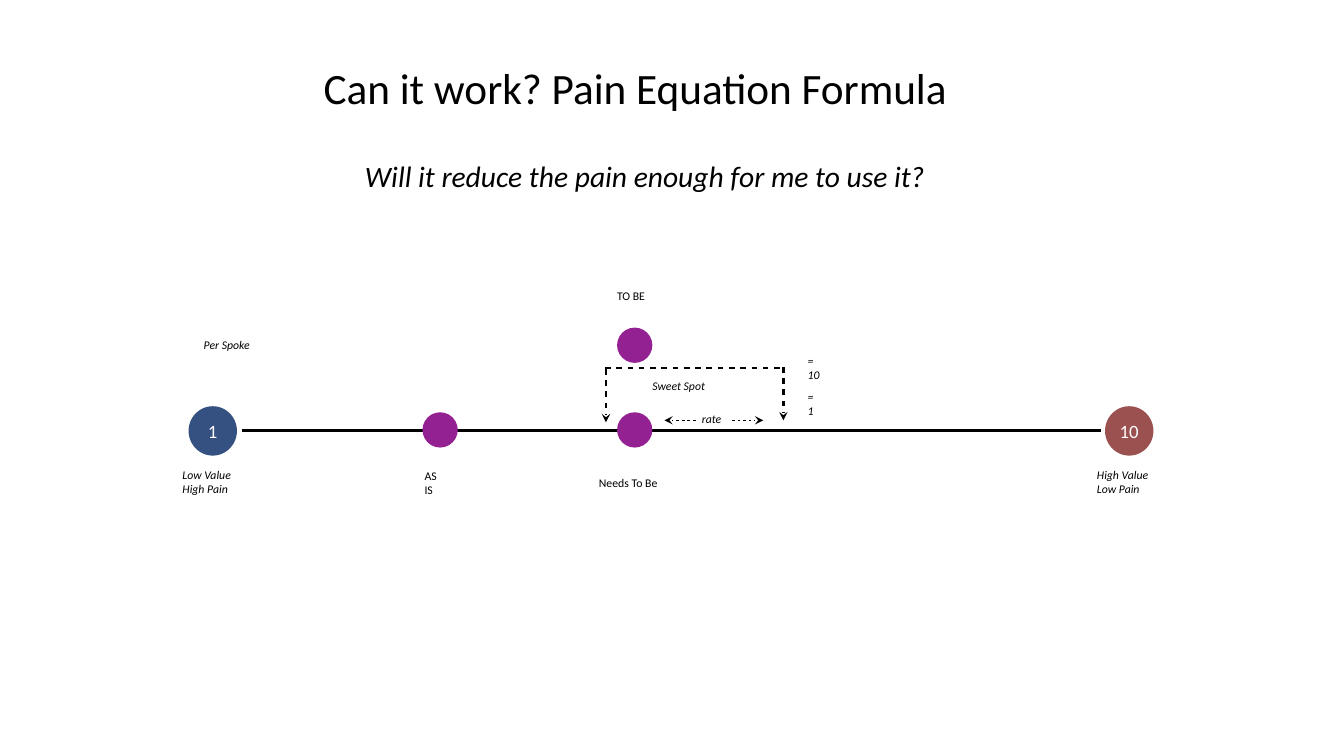
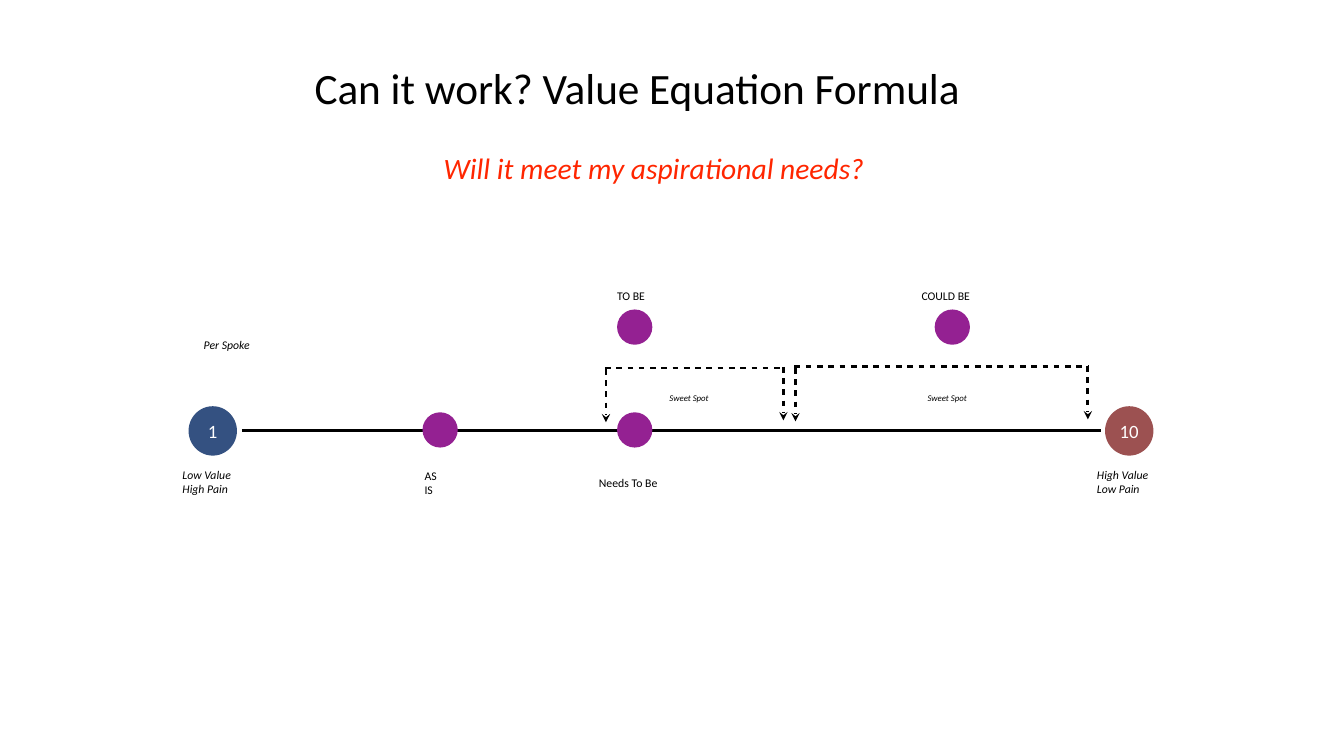
"""Builds two slides that place a need on a scale from pain to value."""
from lxml import etree
from pptx import Presentation
from pptx.dml.color import RGBColor
from pptx.enum.shapes import MSO_CONNECTOR, MSO_SHAPE
from pptx.enum.text import MSO_ANCHOR, MSO_AUTO_SIZE, PP_ALIGN
from pptx.oxml.ns import qn
from pptx.util import Pt

PX = 9144
BLANK = 6
FONT = "Calibri"
BLACK = RGBColor(0x00, 0x00, 0x00)
WHITE = RGBColor(0xFF, 0xFF, 0xFF)
RED = RGBColor(0xFF, 0x26, 0x00)
PURPLE = RGBColor(0x94, 0x21, 0x92)
NAVY = RGBColor(0x34, 0x51, 0x81)
BRICK = RGBColor(0x9C, 0x51, 0x51)

STRAIGHT = MSO_CONNECTOR.STRAIGHT
OVAL = MSO_SHAPE.OVAL
MIDDLE = MSO_ANCHOR.MIDDLE
FIT_SHAPE = MSO_AUTO_SIZE.SHAPE_TO_FIT_TEXT
LEFT, CENTER = PP_ALIGN.LEFT, PP_ALIGN.CENTER

TITLE, SUBTITLE, NUMBER, LABEL, SMALL = 30.9, 21.1, 13.4, 8.4, 6.3
AXIS_Y = 427
DOT = 35
INSET = 4


def write(frame, text, size=LABEL, color=BLACK, italic=False, align=LEFT):
    frame.margin_left = frame.margin_right = INSET * PX
    frame.margin_top = frame.margin_bottom = INSET * PX
    frame.vertical_anchor = MIDDLE
    frame.word_wrap = False
    frame.text = text
    for paragraph in frame.paragraphs:
        paragraph.alignment = align
        font = paragraph.font
        font.name, font.size, font.italic = FONT, Pt(size), italic
        font.color.rgb = color


class Deck:
    def __init__(self, width, height):
        self.deck = Presentation()
        self.deck.slide_width = width * PX
        self.deck.slide_height = height * PX
        self.slide = None

    def new_slide(self):
        self.slide = self.deck.slides.add_slide(self.deck.slide_layouts[BLANK])

    def label(self, text, left, top, width, size=LABEL, **style):
        lines = text.count("\n") + 1
        height = round(lines * size * 1.2 * 100 / 72) + 2 * INSET
        box = self.slide.shapes.add_textbox(
            left * PX, top * PX, width * PX, height * PX)
        write(box.text_frame, text, size=size, **style)
        box.text_frame.auto_size = FIT_SHAPE

    def circle(self, left, top, width, height, color, number=""):
        disc = self.slide.shapes.add_shape(
            OVAL, left * PX, top * PX, width * PX, height * PX)
        disc.shadow.inherit = False
        disc.fill.solid()
        disc.fill.fore_color.rgb = color
        disc.line.fill.background()
        if number:
            write(disc.text_frame, number, size=NUMBER, color=WHITE, align=CENTER)

    def dot(self, left, top):
        self.circle(left, top, DOT, DOT, PURPLE)

    def line(self, start, end, weight=2, dashed=False, arrow=False):
        rule = self.slide.shapes.add_connector(
            STRAIGHT, *(value * PX for value in (*start, *end)))
        rule.line.color.rgb = BLACK
        rule.line.width = Pt(weight)
        stroke = rule.line._get_or_add_ln()
        if dashed:
            pattern = etree.SubElement(stroke, qn("a:custDash"))
            etree.SubElement(pattern, qn("a:ds"), d="200000", sp="200000")
        if arrow:
            etree.SubElement(stroke, qn("a:tailEnd"), type="stealth")
        etree.SubElement(rule._element.spPr, qn("a:effectLst"))

    def arrow(self, start, end, weight=2):
        self.line(start, end, weight, dashed=True, arrow=True)

    def bracket(self, left, right, top):
        self.line((left, top), (right, top), dashed=True)
        self.arrow((left + 1, top + 1), (left + 1, top + 54))
        self.arrow((right, top - 1), (right, top + 52))

    def scale(self):
        self.circle(187, 403, 48, 49, NAVY, "1")
        self.line((240, AXIS_Y), (1092, AXIS_Y))
        self.circle(1096, 403, 48, 49, BRICK, "10")
        for left in (419, 612):
            self.dot(left, 409)
        self.label("Low Value\nHigh Pain", 177, 460, 57, italic=True)
        self.label("High Value\nLow Pain", 1084, 460, 60, italic=True)
        self.label("AS IS", 417, 468, 31)
        self.label("Needs To Be", 590, 468, 68)
        self.label("TO BE", 608, 282, 36)
        self.label("Per Spoke", 198, 331, 55, italic=True)
        self.bracket(600, 777, 365)


def build_pain(deck):
    deck.new_slide()
    deck.label("Can it work? Pain Equation Formula", 317, 57, 635, size=TITLE)
    deck.label("Will it reduce the pain enough for me to use it?",
               358, 153, 570, size=SUBTITLE, italic=True)
    deck.scale()
    deck.dot(612, 325)
    for text, left, top, width in (
            ("Sweet Spot", 643, 372, 61), ("= 10", 797, 354, 28),
            ("= 1", 797, 390, 22), ("rate", 692, 404, 28)):
        deck.label(text, left, top, width, italic=True)
    for start, end in ((690, 659), (726, 757)):
        deck.arrow((start, 417), (end, 417), weight=1)


def build_value(deck):
    deck.new_slide()
    deck.label("Can it work? Value Equation Formula", 308, 57, 657, size=TITLE)
    deck.label("Will it meet my aspirational needs?",
               436, 145, 430, size=SUBTITLE, color=RED, italic=True)
    deck.scale()
    deck.bracket(788, 1079, 364)
    for left in (612, 927):
        deck.dot(left, 307)
    deck.label("COULD BE", 910, 282, 57)
    for left in (660, 916):
        deck.label("Sweet Spot", left, 386, 48, size=SMALL, italic=True)


def main():
    deck = Deck(1333, 750)
    build_pain(deck)
    build_value(deck)
    deck.deck.save("out.pptx")


if __name__ == "__main__":
    main()
